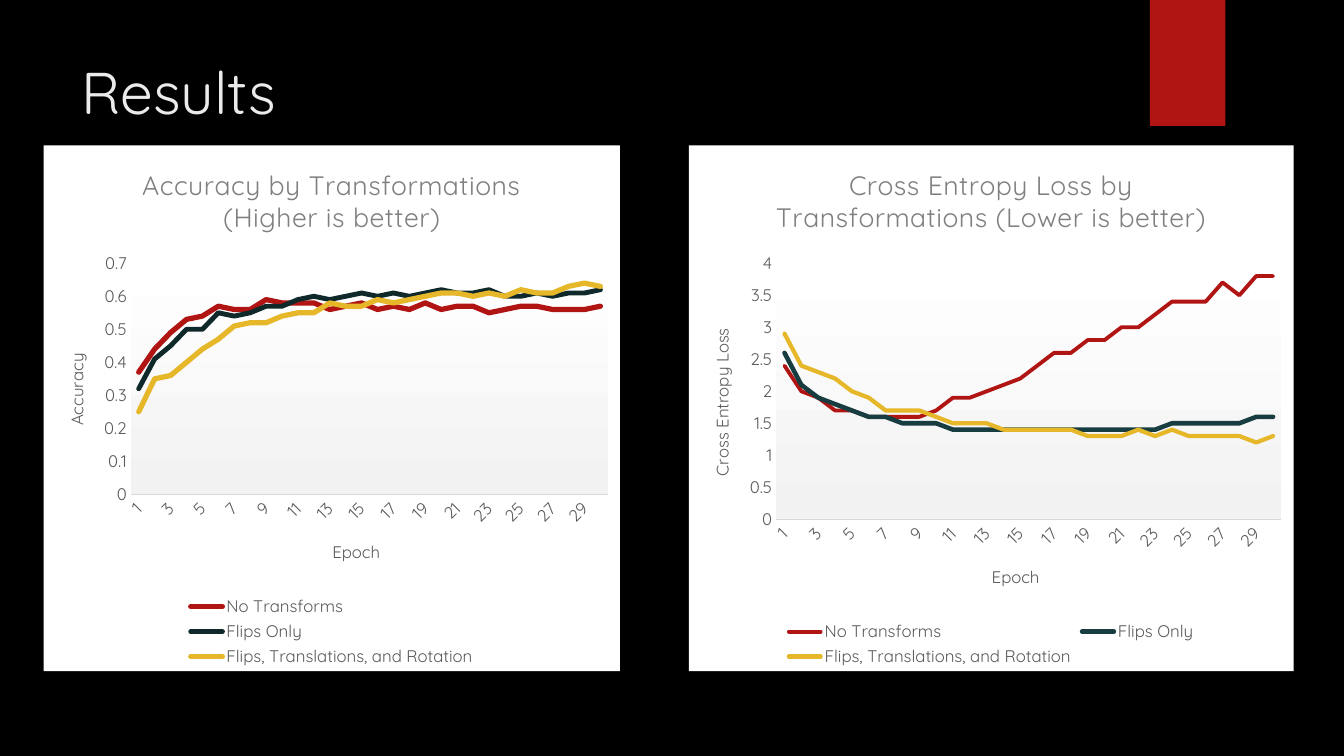
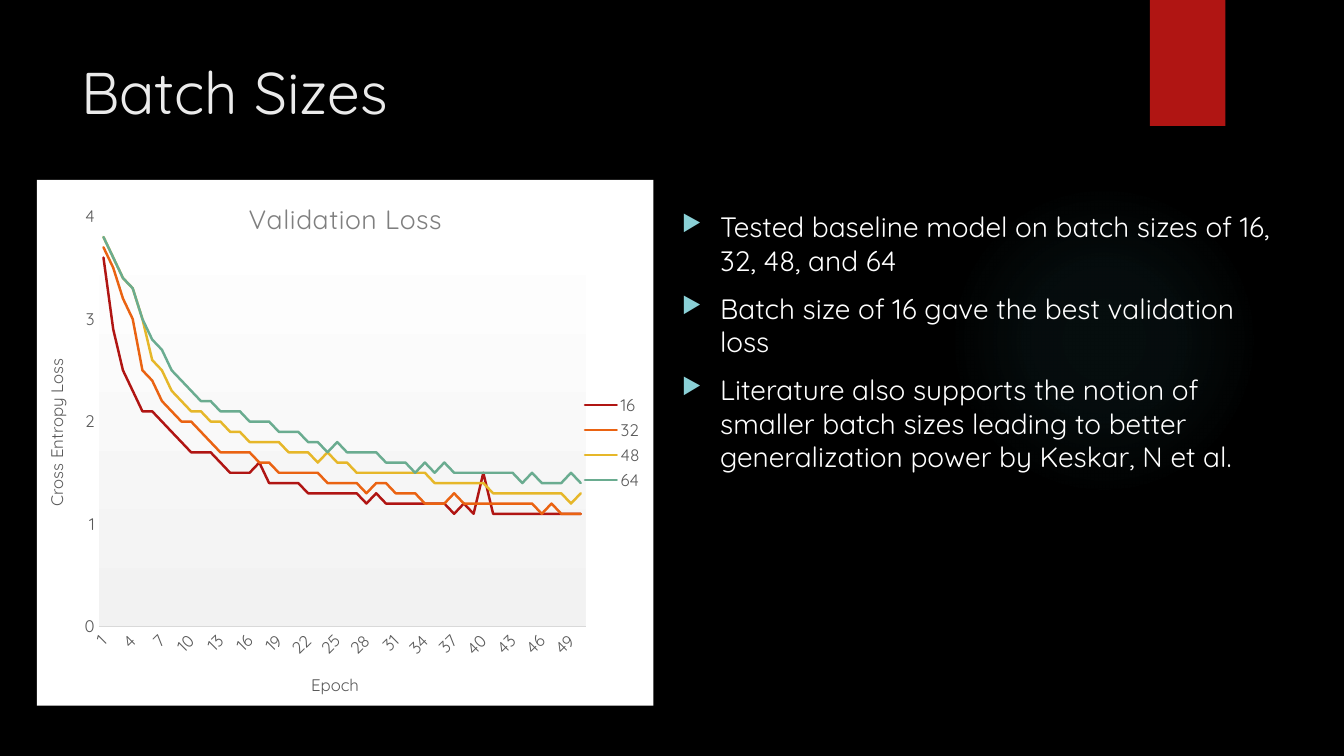
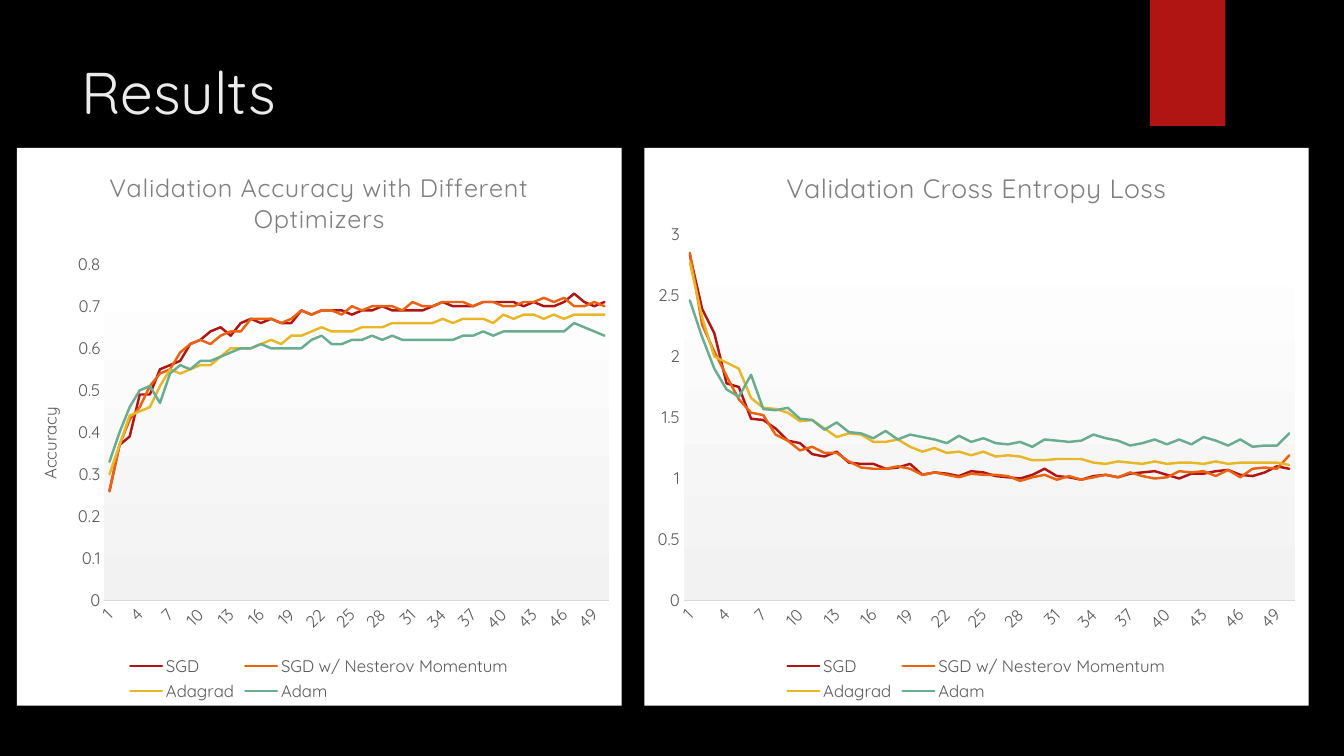
from lxml import etree
from pptx import Presentation
from pptx.chart.data import CategoryChartData
from pptx.dml.color import RGBColor
from pptx.enum.chart import XL_CHART_TYPE as ChartType, XL_LEGEND_POSITION as LegendPosition
from pptx.enum.chart import XL_TICK_MARK as TickMark
from pptx.enum.shapes import MSO_SHAPE as Shape
from pptx.enum.text import MSO_ANCHOR as Anchor
from pptx.oxml import parse_xml
from pptx.oxml.ns import nsdecls, qn
from pptx.util import Inches, Pt

BLACK = RGBColor(0x00, 0x00, 0x00)
WHITE = RGBColor(0xFF, 0xFF, 0xFF)
OFF_WHITE = RGBColor(0xEB, 0xEB, 0xEB)
PALE_GREY = RGBColor(0xF2, 0xF2, 0xF2)
AXIS_GREY = RGBColor(0xD9, 0xD9, 0xD9)
MID_GREY = RGBColor(0x7F, 0x7F, 0x7F)
DARK_GREY = RGBColor(0x59, 0x59, 0x59)
RED = RGBColor(0xB0, 0x15, 0x13)
ORANGE = RGBColor(0xEA, 0x63, 0x12)
GOLD = RGBColor(0xE6, 0xB7, 0x29)
GREEN = RGBColor(0x6A, 0xAC, 0x90)
INK = RGBColor(0x0F, 0x28, 0x2A)
DARK_TEAL = RGBColor(0x17, 0x3D, 0x40)
TEAL = RGBColor(0x50, 0xB9, 0xC1)
AQUA = RGBColor(0x8A, 0xD0, 0xD6)

COLUMNS, ROWS = 160, 90
DOWNWARD = '<a:lin ang="5400000" scaled="0"/>'
FROM_CENTRE = ('<a:path path="circle"><a:fillToRect l="50000" t="50000" '
               'r="50000" b="50000"/></a:path>')

TRANSFORMS = ("No Transforms", "Flips Only", "Flips, Translations, and Rotation")
ACCURACY_STYLES = ((RED, 3.75), (INK, 3.5), (GOLD, 3.75))
LOSS_STYLES = ((RED, 2.75), (DARK_TEAL, 3.25), (GOLD, 3))
BATCH_SIZES = ("16", "32", "48", "64")
OPTIMIZERS = ("SGD", "SGD w/ Nesterov Momentum", "Adagrad", "Adam")
FOUR_STYLES = tuple((color, 1.75) for color in (RED, ORANGE, GOLD, GREEN))

TRANSFORM_ACCURACY = (
    (0.37, 0.44, 0.49, 0.53, 0.54, 0.57, 0.56, 0.56, 0.59, 0.58, 0.58, 0.58, 0.56, 0.57, 0.58,
     0.56, 0.57, 0.56, 0.58, 0.56, 0.57, 0.57, 0.55, 0.56, 0.57, 0.57, 0.56, 0.56, 0.56, 0.57),
    (0.32, 0.41, 0.45, 0.5, 0.5, 0.55, 0.54, 0.55, 0.57, 0.57, 0.59, 0.6, 0.59, 0.6, 0.61,
     0.6, 0.61, 0.6, 0.61, 0.62, 0.61, 0.61, 0.62, 0.6, 0.6, 0.61, 0.6, 0.61, 0.61, 0.62),
    (0.25, 0.35, 0.36, 0.4, 0.44, 0.47, 0.51, 0.52, 0.52, 0.54, 0.55, 0.55, 0.58, 0.57, 0.57,
     0.59, 0.58, 0.59, 0.6, 0.61, 0.61, 0.6, 0.61, 0.6, 0.62, 0.61, 0.61, 0.63, 0.64, 0.63),
)
TRANSFORM_LOSS = (
    (2.4, 2, 1.9, 1.7, 1.7, 1.6, 1.6, 1.6, 1.6, 1.7, 1.9, 1.9, 2, 2.1, 2.2,
     2.4, 2.6, 2.6, 2.8, 2.8, 3, 3, 3.2, 3.4, 3.4, 3.4, 3.7, 3.5, 3.8, 3.8),
    (2.6, 2.1, 1.9, 1.8, 1.7, 1.6, 1.6, 1.5, 1.5, 1.5, 1.4, 1.4, 1.4, 1.4, 1.4,
     1.4, 1.4, 1.4, 1.4, 1.4, 1.4, 1.4, 1.4, 1.5, 1.5, 1.5, 1.5, 1.5, 1.6, 1.6),
    (2.9, 2.4, 2.3, 2.2, 2, 1.9, 1.7, 1.7, 1.7, 1.6, 1.5, 1.5, 1.5, 1.4, 1.4,
     1.4, 1.4, 1.4, 1.3, 1.3, 1.3, 1.4, 1.3, 1.4, 1.3, 1.3, 1.3, 1.3, 1.2, 1.3),
)
BATCH_LOSS = (
    (3.6, 2.9, 2.5, 2.3, 2.1, 2.1, 2, 1.9, 1.8, 1.7, 1.7, 1.7, 1.6, 1.5, 1.5, 1.5, 1.6,
     1.4, 1.4, 1.4, 1.4, 1.3, 1.3, 1.3, 1.3, 1.3, 1.3, 1.2, 1.3, 1.2, 1.2, 1.2, 1.2, 1.2,
     1.2, 1.2, 1.1, 1.2, 1.1, 1.5, 1.1, 1.1, 1.1, 1.1, 1.1, 1.1, 1.1, 1.1, 1.1, 1.1),
    (3.7, 3.5, 3.2, 3, 2.5, 2.4, 2.2, 2.1, 2, 2, 1.9, 1.8, 1.7, 1.7, 1.7, 1.7, 1.6,
     1.6, 1.5, 1.5, 1.5, 1.5, 1.5, 1.4, 1.4, 1.4, 1.4, 1.3, 1.4, 1.4, 1.3, 1.3, 1.3, 1.2,
     1.2, 1.2, 1.3, 1.2, 1.2, 1.2, 1.2, 1.2, 1.2, 1.2, 1.2, 1.1, 1.2, 1.1, 1.1, 1.1),
    (3.8, 3.6, 3.4, 3.3, 3, 2.6, 2.5, 2.3, 2.2, 2.1, 2.1, 2, 2, 1.9, 1.9, 1.8, 1.8,
     1.8, 1.8, 1.7, 1.7, 1.7, 1.6, 1.7, 1.6, 1.6, 1.5, 1.5, 1.5, 1.5, 1.5, 1.5, 1.5, 1.5,
     1.4, 1.4, 1.4, 1.4, 1.4, 1.4, 1.3, 1.3, 1.3, 1.3, 1.3, 1.3, 1.3, 1.3, 1.2, 1.3),
    (3.8, 3.6, 3.4, 3.3, 3, 2.8, 2.7, 2.5, 2.4, 2.3, 2.2, 2.2, 2.1, 2.1, 2.1, 2, 2,
     2, 1.9, 1.9, 1.9, 1.8, 1.8, 1.7, 1.8, 1.7, 1.7, 1.7, 1.7, 1.6, 1.6, 1.6, 1.5, 1.6,
     1.5, 1.6, 1.5, 1.5, 1.5, 1.5, 1.5, 1.5, 1.5, 1.4, 1.5, 1.4, 1.4, 1.4, 1.5, 1.4),
)
OPTIMIZER_ACCURACY = (
    (0.26, 0.37, 0.39, 0.49, 0.49, 0.55, 0.56, 0.57, 0.61, 0.62, 0.64, 0.65, 0.63, 0.66, 0.67,
     0.66, 0.67, 0.66, 0.66, 0.69, 0.68, 0.69, 0.69, 0.69, 0.68, 0.69, 0.69, 0.7, 0.69, 0.69,
     0.69, 0.69, 0.7, 0.71, 0.7, 0.7, 0.7, 0.71, 0.71, 0.71, 0.71, 0.7, 0.71, 0.7, 0.7,
     0.71, 0.73, 0.71, 0.7, 0.71),
    (0.26, 0.37, 0.43, 0.46, 0.51, 0.54, 0.55, 0.59, 0.61, 0.62, 0.61, 0.63, 0.64, 0.64, 0.67,
     0.67, 0.67, 0.66, 0.67, 0.69, 0.68, 0.69, 0.69, 0.68, 0.7, 0.69, 0.7, 0.7, 0.7, 0.69,
     0.71, 0.7, 0.7, 0.71, 0.71, 0.71, 0.7, 0.71, 0.71, 0.7, 0.7, 0.71, 0.71, 0.72, 0.71,
     0.72, 0.7, 0.7, 0.71, 0.7),
    (0.3, 0.37, 0.44, 0.45, 0.46, 0.51, 0.55, 0.54, 0.55, 0.56, 0.56, 0.58, 0.6, 0.6, 0.6,
     0.61, 0.62, 0.61, 0.63, 0.63, 0.64, 0.65, 0.64, 0.64, 0.64, 0.65, 0.65, 0.65, 0.66, 0.66,
     0.66, 0.66, 0.66, 0.67, 0.66, 0.67, 0.67, 0.67, 0.66, 0.68, 0.67, 0.68, 0.68, 0.67, 0.68,
     0.67, 0.68, 0.68, 0.68, 0.68),
    (0.33, 0.4, 0.46, 0.5, 0.51, 0.47, 0.54, 0.56, 0.55, 0.57, 0.57, 0.58, 0.59, 0.6, 0.6,
     0.61, 0.6, 0.6, 0.6, 0.6, 0.62, 0.63, 0.61, 0.61, 0.62, 0.62, 0.63, 0.62, 0.63, 0.62,
     0.62, 0.62, 0.62, 0.62, 0.62, 0.63, 0.63, 0.64, 0.63, 0.64, 0.64, 0.64, 0.64, 0.64, 0.64,
     0.64, 0.66, 0.65, 0.64, 0.63),
)
OPTIMIZER_LOSS = (
    (2.83, 2.39, 2.19, 1.78, 1.75, 1.49, 1.48, 1.41, 1.31, 1.29, 1.2, 1.18, 1.22, 1.13, 1.12,
     1.12, 1.08, 1.09, 1.12, 1.03, 1.05, 1.04, 1.02, 1.06, 1.05, 1.02, 1.01, 1, 1.03, 1.08,
     1.02, 1.01, 0.99, 1.02, 1.03, 1.01, 1.04, 1.05, 1.06, 1.03, 1, 1.04, 1.04, 1.06, 1.07,
     1.03, 1.02, 1.05, 1.1, 1.08),
    (2.85, 2.26, 2.04, 1.84, 1.65, 1.54, 1.52, 1.36, 1.31, 1.23, 1.26, 1.21, 1.21, 1.14, 1.09,
     1.08, 1.08, 1.1, 1.08, 1.03, 1.05, 1.03, 1.01, 1.04, 1.03, 1.03, 1.02, 0.98, 1.01, 1.03,
     0.99, 1.02, 0.99, 1.01, 1.03, 1.01, 1.05, 1.02, 1, 1.01, 1.06, 1.05, 1.06, 1.02, 1.07,
     1.01, 1.08, 1.09, 1.08, 1.19),
    (2.77, 2.32, 2, 1.95, 1.9, 1.66, 1.58, 1.57, 1.54, 1.47, 1.48, 1.41, 1.34, 1.37, 1.36,
     1.3, 1.3, 1.32, 1.26, 1.22, 1.25, 1.21, 1.22, 1.19, 1.22, 1.18, 1.19, 1.18, 1.15, 1.15,
     1.16, 1.16, 1.16, 1.13, 1.12, 1.14, 1.13, 1.12, 1.14, 1.12, 1.13, 1.13, 1.12, 1.14, 1.12,
     1.13, 1.13, 1.13, 1.13, 1.11),
    (2.46, 2.16, 1.9, 1.73, 1.67, 1.85, 1.57, 1.56, 1.58, 1.49, 1.48, 1.4, 1.46, 1.38, 1.37,
     1.33, 1.39, 1.32, 1.36, 1.34, 1.32, 1.29, 1.35, 1.3, 1.33, 1.29, 1.28, 1.3, 1.26, 1.32,
     1.31, 1.3, 1.31, 1.36, 1.33, 1.31, 1.27, 1.29, 1.32, 1.28, 1.32, 1.28, 1.34, 1.31, 1.27,
     1.32, 1.26, 1.27, 1.27, 1.37),
)


def gradient_xml(stops, direction):
    """Gradient fill from (position %, colour, opacity %) stops."""
    marks = "".join(
        f'<a:gs pos="{position * 1000}"><a:srgbClr val="{color}">'
        f'<a:alpha val="{opacity * 1000}"/></a:srgbClr></a:gs>'
        for position, color, opacity in stops)
    return f'<a:gradFill {nsdecls("a")}><a:gsLst>{marks}</a:gsLst>{direction}</a:gradFill>'


def chart_fill(fill):
    return parse_xml(f'<c:spPr {nsdecls("c", "a")}>{fill}<a:ln><a:noFill/></a:ln></c:spPr>')


class Deck:
    font_name = "Quicksand"

    def __init__(self):
        self.presentation = Presentation()
        self.presentation.slide_width = Inches(13.333)
        self.presentation.slide_height = Inches(7.5)
        self.slide = None

    def box(self, left, top, width, height):
        """Turn grid columns and rows into lengths."""
        column = self.presentation.slide_width / COLUMNS
        row = self.presentation.slide_height / ROWS
        return [round(length) for length in
                (left * column, top * row, width * column, height * row)]

    def style(self, font, size, color):
        font.name, font.size, font.bold = self.font_name, Pt(size), False
        font.color.rgb = color

    def add_run(self, paragraph, text, size, color):
        run = paragraph.add_run()
        run.text = text
        self.style(run.font, size, color)
        return run

    def new_slide(self, title):
        self.slide = self.presentation.slides.add_slide(self.presentation.slide_layouts[6])
        background = self.slide.background.fill
        background.solid()
        background.fore_color.rgb = BLACK
        glow = self.plain_shape(Shape.OVAL, 112.9, 22, 37, 37)
        glow.fill.background()
        properties = glow.element.spPr
        stops = ((0, TEAL, 7), (36, TEAL, 6), (69, TEAL, 0))
        properties.replace(properties.find(qn("a:noFill")),
                           parse_xml(gradient_xml(stops, FROM_CENTRE)))
        band = self.plain_shape(Shape.RECTANGLE, 136.9, 0, 9, 15)
        band.fill.solid()
        band.fill.fore_color.rgb = RED
        frame = self.text_frame(8.5, 6, 123.5, 18.4)
        self.add_run(frame.paragraphs[0], title, 42, OFF_WHITE)

    def plain_shape(self, kind, *place):
        shape = self.slide.shapes.add_shape(kind, *self.box(*place))
        shape.shadow.inherit = False
        shape.line.fill.background()
        return shape

    def text_frame(self, *place):
        frame = self.slide.shapes.add_textbox(*self.box(*place)).text_frame
        frame.word_wrap = True
        frame.vertical_anchor = Anchor.TOP
        return frame

    def bullets(self, place, texts):
        frame = self.text_frame(*place)
        for index, text in enumerate(texts):
            paragraph = frame.add_paragraph() if index else frame.paragraphs[0]
            paragraph.space_before = Pt(10)
            properties = paragraph._p.get_or_add_pPr()
            properties.set("marL", str(Inches(0.38)))
            properties.set("indent", str(-Inches(0.38)))
            color = etree.SubElement(properties, qn("a:buClr"))
            etree.SubElement(color, qn("a:srgbClr"), val=str(AQUA))
            etree.SubElement(properties, qn("a:buSzPct"), val="80000")
            etree.SubElement(properties, qn("a:buChar"), char="▶")
            self.add_run(paragraph, text, 20, WHITE)

    def line_chart(self, place, title, names, rows, styles, maximum, step, x_title=None,
                   y_title=None, title_size=19, legend=LegendPosition.BOTTOM, plot=None):
        """Add a line chart; plot is the inner plot area as shares of the chart."""
        data = CategoryChartData()
        data.categories = [str(epoch + 1) for epoch in range(len(rows[0]))]
        for name, values in zip(names, rows):
            data.add_series(name, values)
        chart = self.slide.shapes.add_chart(ChartType.LINE, *self.box(*place), data).chart
        self.style(chart.font, 12, DARK_GREY)
        chart.has_title = True
        run = self.add_run(chart.chart_title.text_frame.paragraphs[0], title,
                           title_size, MID_GREY)
        run.font._element.set("spc", "50")
        chart.has_legend = True
        chart.legend.position = legend
        chart.legend.include_in_layout = False
        self.style(chart.legend.font, 12, DARK_GREY)
        chart.plots[0].vary_by_categories = False
        for series, (color, width) in zip(chart.plots[0].series, styles):
            series.smooth = False
            line = series.format.line
            line.color.rgb, line.width = color, Pt(width)
            line._get_or_add_ln().set("cap", "rnd")
        self.axis(chart.category_axis, x_title, label_turn=-45)
        baseline = chart.category_axis.format.line
        baseline.color.rgb, baseline.width = AXIS_GREY, Pt(0.75)
        value_axis = chart.value_axis
        self.axis(value_axis, y_title, title_turn=-90)
        value_axis.format.line.fill.background()
        value_axis.minimum_scale, value_axis.maximum_scale = 0, maximum
        value_axis.major_unit = step
        self.chart_background(chart, plot)

    def axis(self, axis, title, label_turn=0, title_turn=0):
        axis.has_major_gridlines = False
        axis.major_tick_mark = axis.minor_tick_mark = TickMark.NONE
        self.style(axis.tick_labels.font, 12, DARK_GREY)
        labels = axis._element.find(qn("c:txPr")).find(qn("a:bodyPr"))
        labels.set("rot", str(label_turn * 60000))
        axis.has_title = title is not None
        if title:
            frame = axis.axis_title.text_frame
            self.add_run(frame.paragraphs[0], title, 12, DARK_GREY)
            body = frame._txBody.find(qn("a:bodyPr"))
            body.set("rot", str(title_turn * 60000))
            body.set("vert", "horz")

    def chart_background(self, chart, plot):
        chart_part = chart.element.find(qn("c:chart"))
        chart_part.addnext(chart_fill(
            f'<a:solidFill><a:srgbClr val="{WHITE}"/></a:solidFill>'))
        plot_area = chart_part.find(qn("c:plotArea"))
        stops = ((0, WHITE, 100), (100, PALE_GREY, 100))
        plot_area.append(chart_fill(gradient_xml(stops, DOWNWARD)))
        if plot:
            for layout in plot_area.findall(qn("c:layout")):
                plot_area.remove(layout)
            shares = "".join(f'<c:{key} val="{share}"/>' for key, share in zip("xywh", plot))
            plot_area.insert(0, parse_xml(
                f'<c:layout {nsdecls("c")}><c:manualLayout><c:layoutTarget val="inner"/>'
                f'<c:xMode val="edge"/><c:yMode val="edge"/>{shares}'
                '</c:manualLayout></c:layout>'))


def main():
    deck = Deck()

    deck.new_slide("Results")
    deck.line_chart((5.2, 17.3, 68.6, 62.6), "Accuracy by Transformations (Higher is better)",
                    TRANSFORMS, TRANSFORM_ACCURACY, ACCURACY_STYLES, 0.7, 0.1,
                    "Epoch", "Accuracy")
    deck.line_chart((82, 17.3, 72, 62.6),
                    "Cross Entropy Loss by Transformations (Lower is better)",
                    TRANSFORMS, TRANSFORM_LOSS, LOSS_STYLES, 4, 0.5,
                    "Epoch", "Cross Entropy Loss")

    deck.new_slide("Batch Sizes")
    deck.bullets((80, 24.4, 73.4, 57.7), (
        "Tested baseline model on batch sizes of 16, 32, 48, and 64",
        "Batch size of 16 gave the best validation loss",
        "Literature also supports the notion of smaller batch sizes leading to better "
        "generalization power by Keskar, N et al."))
    deck.line_chart((4.4, 21.4, 73.4, 62.6), "Validation Loss",
                    BATCH_SIZES, BATCH_LOSS, FOUR_STYLES, 4, 1,
                    "Epoch", "Cross Entropy Loss",
                    legend=LegendPosition.RIGHT, plot=(0.1, 0.07, 0.79, 0.78))

    deck.new_slide("Results")
    deck.line_chart((2, 17.6, 72, 66.4), "Validation Accuracy with Different Optimizers",
                    OPTIMIZERS, OPTIMIZER_ACCURACY, FOUR_STYLES, 0.8, 0.1,
                    y_title="Accuracy", title_size=18)
    deck.line_chart((76.7, 17.6, 79.1, 66.4), "Validation Cross Entropy Loss",
                    OPTIMIZERS, OPTIMIZER_LOSS, FOUR_STYLES, 3, 0.5)

    deck.presentation.save("out.pptx")


if __name__ == "__main__":
    main()
